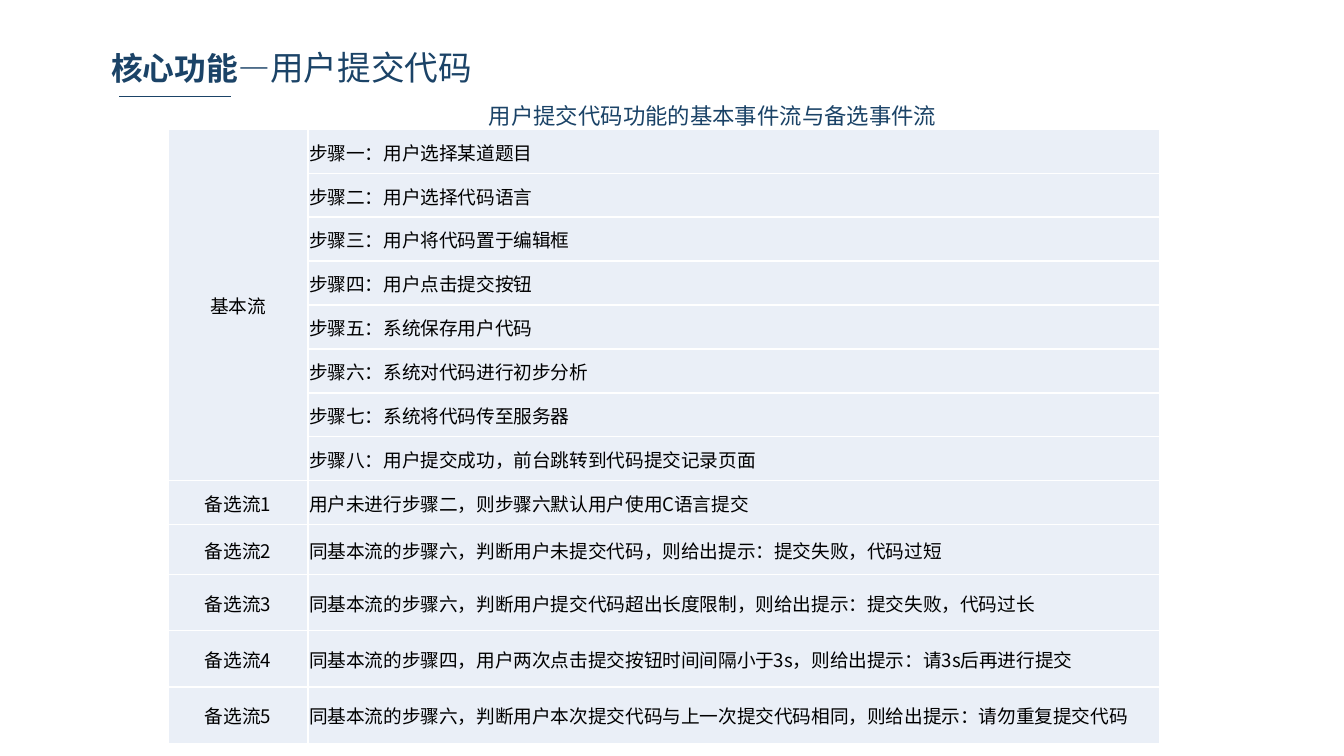
from lxml import etree
from pptx import Presentation, util as u
from pptx.dml.color import RGBColor
from pptx.enum import shapes, text
from pptx.oxml import ns

Pt = u.Pt
FONT = "Noto Sans CJK SC"
NAVY, BLACK, WHITE, PALE = "1B4367", "000000", "FFFFFF", "EAEFF7"
ALIGN = text.PP_ALIGN

STEPS = [
    "步骤一：用户选择某道题目",
    "步骤二：用户选择代码语言",
    "步骤三：用户将代码置于编辑框",
    "步骤四：用户点击提交按钮",
    "步骤五：系统保存用户代码",
    "步骤六：系统对代码进行初步分析",
    "步骤七：系统将代码传至服务器",
    "步骤八：用户提交成功，前台跳转到代码提交记录页面",
]
ALTERNATIVES = [
    "用户未进行步骤二，则步骤六默认用户使用C语言提交",
    "同基本流的步骤六，判断用户未提交代码，则给出提示：提交失败，代码过短",
    "同基本流的步骤六，判断用户提交代码超出长度限制，则给出提示：提交失败，代码过长",
    "同基本流的步骤四，用户两次点击提交按钮时间间隔小于3s，则给出提示：请3s后再进行提交",
    "同基本流的步骤六，判断用户本次提交代码与上一次提交代码相同，则给出提示：请勿重复提交代码",
]
COL_WIDTHS = [74.9, 456.5]
ROW_HEIGHTS = [23.5] * 9 + [26.8] + [30.2] * 3


def rgb(color):
    return RGBColor.from_string(color)


def style_run(r, size, color, bold=False):
    r.font.size = Pt(size)
    r.font.bold = bold
    r.font.name = FONT
    r.font.color.rgb = rgb(color)
    ea = etree.SubElement(r.font._element, ns.qn("a:ea"))
    ea.set("typeface", FONT)


def add_text(s, x, y, w, h, runs, align=ALIGN.LEFT):
    tf = s.shapes.add_textbox(Pt(x), Pt(y), Pt(w), Pt(h)).text_frame
    tf.word_wrap = True
    p = tf.paragraphs[0]
    p.alignment = align
    for words, size, bold in runs:
        r = p.add_run()
        r.text = words
        style_run(r, size, NAVY, bold)


def add_line(s, x1, y1, x2, y2):
    line = s.shapes.add_connector(
        shapes.MSO_CONNECTOR.STRAIGHT, Pt(x1), Pt(y1), Pt(x2), Pt(y2))
    line.line.color.rgb = rgb(NAVY)
    line.line.width = Pt(0.75)
    etree.SubElement(line._element.spPr, ns.qn("a:effectLst"))


def add_borders(cell):
    tcPr = cell._tc.get_or_add_tcPr()
    for side in ("lnL", "lnR", "lnT", "lnB"):
        ln = etree.SubElement(tcPr, ns.qn("a:" + side), w=str(Pt(1)))
        fill = etree.SubElement(ln, ns.qn("a:solidFill"))
        etree.SubElement(fill, ns.qn("a:srgbClr"), val=WHITE)


def style_cell(cell, align):
    add_borders(cell)
    cell.fill.solid()
    cell.fill.fore_color.rgb = rgb(PALE)
    cell.vertical_anchor = text.MSO_ANCHOR.MIDDLE
    cell.margin_left = cell.margin_right = cell.margin_top = Pt(0.75)
    cell.margin_bottom = 0
    p = cell.text_frame.paragraphs[0]
    p.alignment = align
    for r in p.runs:
        style_run(r, 10, BLACK)


def add_flow_table(s, x, y):
    labels = ["基本流"] + [""] * (len(STEPS) - 1)
    labels += [f"备选流{i}" for i in range(1, len(ALTERNATIVES) + 1)]
    rows = list(zip(labels, STEPS + ALTERNATIVES))
    table = s.shapes.add_table(
        len(rows), 2, Pt(x), Pt(y),
        Pt(sum(COL_WIDTHS)), Pt(sum(ROW_HEIGHTS))).table
    table.first_row = table.horz_banding = False
    for col, width in zip(table.columns, COL_WIDTHS):
        col.width = Pt(width)
    for row, height in zip(table.rows, ROW_HEIGHTS):
        row.height = Pt(height)
    for i, row in enumerate(rows):
        for j, align in enumerate((ALIGN.CENTER, ALIGN.JUSTIFY)):
            cell = table.cell(i, j)
            cell.text = row[j]
            style_cell(cell, align)
    table.cell(0, 0).merge(table.cell(len(STEPS) - 1, 0))


def main():
    prs = Presentation()
    prs.slide_width, prs.slide_height = Pt(720), Pt(405)
    s = prs.slides.add_slide(prs.slide_layouts[6])
    add_text(s, 52.5, 21.6, 369.4, 47.5,
             [("核心功能—", 17, True), ("用户提交代码", 18, False)])
    add_line(s, 64, 51.8, 123.8, 51.8)
    add_flow_table(s, 90, 69.4)
    add_text(s, 197.2, 51.1, 369.4, 20.2,
             [("用户提交代码功能的基本事件流与备选事件流", 12, False)], ALIGN.CENTER)
    prs.save("out.pptx")


if __name__ == "__main__":
    main()
